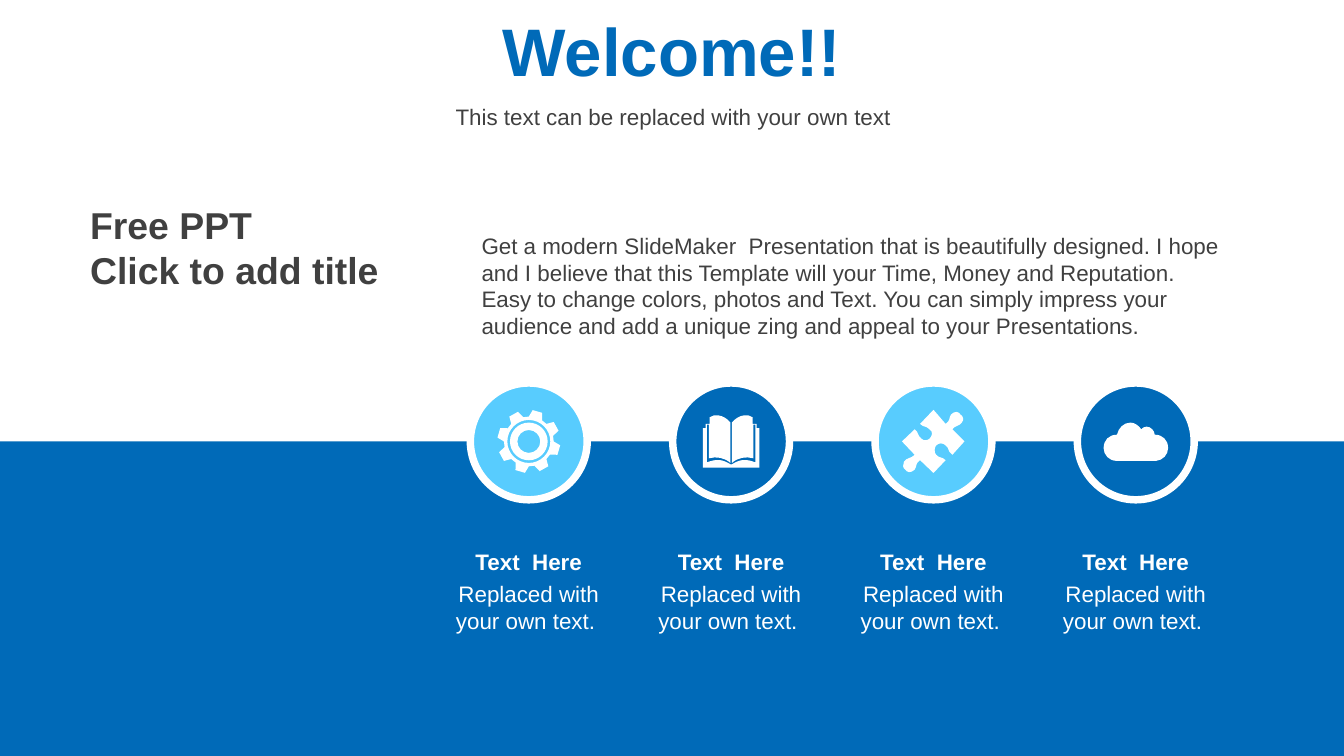
from dataclasses import dataclass
from math import cos, radians, sin

from lxml import etree
from pptx import Presentation
from pptx.dml.color import RGBColor
from pptx.enum import shapes, text
from pptx.oxml import ns
from pptx.util import Pt


@dataclass(frozen=True)
class Theme:
    font: str = "Arial"
    blue: str = "006AB8"
    sky: str = "58CCFE"
    dark: str = "404040"
    white: str = "FFFFFF"
    title: int = 36
    heading: int = 20
    body: int = 12


THEME = Theme()
WIDTH, HEIGHT = 720, 405
HORIZON = 236.5
FIRST_X, PITCH = 283.3, 108.4
CIRCLE = 62.6
ICON_UNIT = 0.72

CLOUD = [
    (-4, -14), (-1, -14, 2, -12, 4, -9), (5, -10, 6, -11, 8, -11),
    (11, -11, 14, -8, 14, -5), (20, -5, 24, -1, 24, 5),
    (24, 10, 20, 14, 15, 14.5), (-14, 14.5), (-20, 14.5, -24, 10, -24, 5),
    (-24, -1, -20, -5, -14, -5), (-13, -10, -9, -14, -4, -14),
]
PUZZLE = [
    (20, -20), (22, -19, 23, -16, 21, -14), (19, -11, 16, -12, 14, -9),
    (23, 0), (14, 10), (10, 7, 12, 5, 9, 3), (7, 1, 4, 1, 2, 3),
    (1, 4, 0, 8, 2, 10), (5, 13, 6, 11, 9, 14), (0, 23.5), (-10, 14),
    (-14, 17, -12, 18, -14, 21), (-17, 24, -20, 23, -21, 21),
    (-23, 20, -23, 17, -22, 15), (-20, 12, -17, 13, -14, 10),
    (-23.5, 0), (-14, -9), (-11, -7, -12, -4, -9, -2),
    (-7, 0, -4, -1, -3, -2), (-1, -4, 0, -7, -3, -9),
    (-6, -12, -7, -10, -10, -13), (0, -23.5), (9, -13),
    (13, -16, 11, -17, 13, -20), (16, -23, 19, -22, 20, -20),
]
BOOK_HALF = [
    (0.5, 17), (7, 13, 11, 13, 18, 15.5), (18, -12.5), (16.5, -12.5),
    (16.5, 12.5), (11, 11, 5, 12, 0.5, 16), (0.5, -14),
    (3, -17, 6, -19, 10, -19.5), (12, -19.5, 14, -19.5, 16, -18),
    (16, -13), (19, -13), (19, -10), (21, -10), (21, 19.5),
]


def polar(radius, degrees):
    return radius * cos(radians(degrees)), radius * sin(radians(degrees))


def ring(r):
    k = 0.55 * r
    return [(r, 0), (r, k, k, r, 0, r), (-k, r, -r, k, -r, 0),
            (-r, -k, -k, -r, 0, -r), (k, -r, r, -k, r, 0)]


def gear():
    tooth = ((18.5, -16), (23.5, -9), (23.5, 9), (18.5, 16))
    teeth = [polar(r, -74 + 45 * i + offset) for i in range(8) for r, offset in tooth]
    return [teeth, ring(16), ring(14), ring(8.5)]


def pairs(step):
    return list(zip(step[::2], step[1::2]))


def book():
    x, y = BOOK_HALF[-1]
    mirrored = [(-x, y)]
    for before, step in reversed(list(zip(BOOK_HALF, BOOK_HALF[1:]))):
        points = pairs(step)[-2::-1] + [before[-2:]]
        mirrored.append(tuple(v for px, py in points for v in (-px, py)))
    return [BOOK_HALF + mirrored]


def paint(s, fill, line=None, weight=0):
    s.shadow.inherit = False
    s.fill.solid()
    s.fill.fore_color.rgb = RGBColor.from_string(fill)
    if line:
        s.line.color.rgb = RGBColor.from_string(line)
        s.line.width = Pt(weight)
    else:
        s.line.fill.background()


def add_preset(slide, kind, box, fill, line=None, weight=0):
    s = slide.shapes.add_shape(kind, *map(Pt, box))
    paint(s, fill, line, weight)


def add_icon(slide, contours, x, y):
    def place(point):
        return Pt(x + point[0] * ICON_UNIT), Pt(y + point[1] * ICON_UNIT)

    builder = slide.shapes.build_freeform(*place(contours[0][0]), scale=1.0)
    for i, steps in enumerate(contours):
        if i:
            builder.move_to(*place(steps[0]))
        builder.add_line_segments([place(step[-2:]) for step in steps[1:]], close=True)
    s = builder.convert_to_shape()
    paint(s, THEME.white)

    segments = list(s._element.iter(ns.qn("a:lnTo")))
    steps = [step for contour in contours for step in contour[1:]]
    for segment, step in zip(segments, steps):
        if len(step) == 2:
            continue
        curve = etree.Element(ns.qn("a:cubicBezTo"))
        for px, py in map(place, pairs(step)):
            etree.SubElement(curve, ns.qn("a:pt"), x=str(px - s.left), y=str(py - s.top))
        segment.getparent().replace(segment, curve)


def add_text(parent, box, lines, size, color, bold=False, align=text.PP_ALIGN.LEFT,
             anchor=text.MSO_ANCHOR.TOP, spacing=None):
    tf = parent.shapes.add_textbox(*map(Pt, box)).text_frame
    tf.word_wrap = True
    tf.vertical_anchor = anchor
    for i, line in enumerate(lines):
        p = tf.add_paragraph() if i else tf.paragraphs[0]
        p.text = line
        p.alignment = align
        p.line_spacing = spacing
        p.font.name = THEME.font
        p.font.size = Pt(size)
        p.font.bold = bold
        p.font.color.rgb = RGBColor.from_string(color)
    return tf


def add_header(slide):
    style = dict(align=text.PP_ALIGN.CENTER, anchor=text.MSO_ANCHOR.MIDDLE, spacing=0.9)
    add_text(slide, (0, 3.8, WIDTH, 51), ["Welcome!!"], THEME.title, THEME.blue, True, **style)
    tf = add_text(slide, (0, 54.9, WIDTH, 17.3), ["This text can be replaced with your own text"],
                  THEME.body, THEME.dark, **style)
    tf.margin_left = Pt(8.64)
    tf.paragraphs[0].space_before = Pt(7.5)


def add_feature(slide, x, fill, contours):
    radius = CIRCLE / 2
    add_preset(slide, shapes.MSO_SHAPE.OVAL, (x - radius, HORIZON - radius, CIRCLE, CIRCLE),
               fill, THEME.white, 4)
    add_icon(slide, contours, x, HORIZON)
    left, width = x - 47.6, 95.2
    group = slide.shapes.add_group_shape()
    add_text(group, (left, 307.2, width, 36), ["Replaced with your own text.  "],
             THEME.body, THEME.white, align=text.PP_ALIGN.CENTER)
    add_text(group, (left, 290, width, 21.6), ["Text  Here"],
             THEME.body, THEME.white, True, align=text.PP_ALIGN.CENTER)


def main():
    prs = Presentation()
    prs.slide_width, prs.slide_height = Pt(WIDTH), Pt(HEIGHT)
    slide = prs.slides.add_slide(prs.slide_layouts[6])
    add_preset(slide, shapes.MSO_SHAPE.RECTANGLE, (0, HORIZON, WIDTH, HEIGHT - HORIZON), THEME.blue)
    add_header(slide)
    add_text(slide, (41.2, 104.7, 170, 55.4), ["Free PPT", "Click to add title"],
             THEME.heading, THEME.dark, True)
    add_text(slide, (250.9, 120.6, 415.4, 65.5), [
        "Get a modern SlideMaker  Presentation that is beautifully designed. "
        "I hope and I believe that this Template will your Time, Money and Reputation. "
        "Easy to change colors, photos and Text. You can simply impress your audience "
        "and add a unique zing and appeal to your Presentations."
    ], THEME.body, THEME.dark)
    icons = (gear(), book(), [PUZZLE], [CLOUD])
    for i, contours in enumerate(icons):
        add_feature(slide, FIRST_X + i * PITCH, (THEME.sky, THEME.blue)[i % 2], contours)
    prs.save("out.pptx")


if __name__ == "__main__":
    main()
